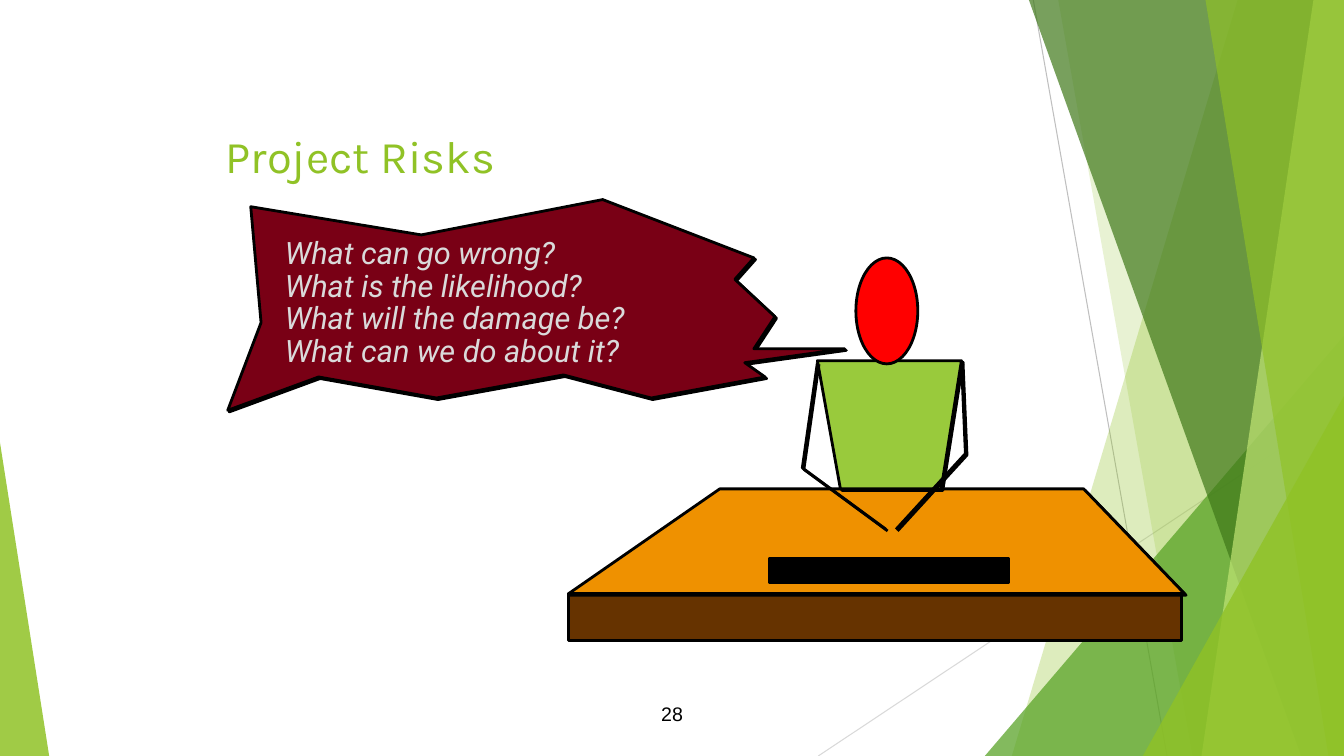
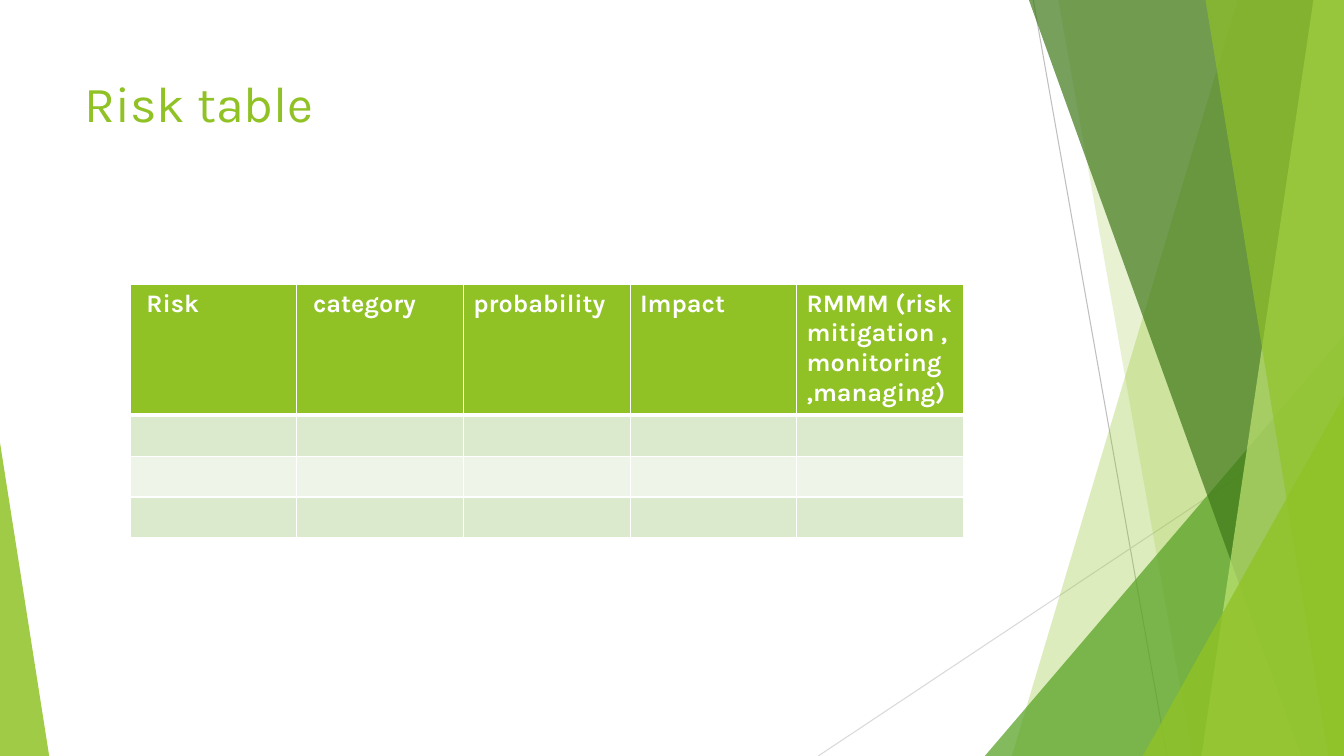
"""Build two project risk slides: a speaker at a desk and a risk table."""
from lxml.etree import SubElement
from pptx import Presentation
from pptx.dml.color import RGBColor
from pptx.enum.shapes import MSO_CONNECTOR, MSO_SHAPE
from pptx.enum.text import MSO_ANCHOR, PP_ALIGN
from pptx.oxml.ns import qn
from pptx.util import Cm, Pt

WIDTH, HEIGHT = 33.87, 19.05
GREEN, WHITE, BLACK = "90C226", "FFFFFF", "000000"
TITLE_FONT, SPEECH_FONT, NUMBER_FONT = "Karla", "Roboto", "Arial"
ECHO_OFFSET = 0.04

RAYS = [((26.04, 0), (29.41, HEIGHT), "BFBFBF"),
        ((WIDTH, 10.24), (20.62, HEIGHT), "D9D9D9")]
BACK_BANDS = [(31.19, 25.5, GREEN, 30), (26.67, 30.05, GREEN, 20)]
FRONT_BANDS = [(25.93, 32.79, "3F7819", 70), (33.1, 30.28, "C0E474", 70),
               (30.38, 33.48, GREEN, 65)]

QUESTIONS = ["What can go wrong?", "What is the likelihood?",
             "What will the damage be?", "What can we do about it?"]
SPEECH = [(21.29, 8.79), (18.77, 9.14), (19.28, 9.5), (16.41, 10.03),
          (14.2, 9.45), (11, 10.03), (8.03, 9.5), (5.74, 10.34),
          (6.58, 8.13), (6.32, 5.21), (10.62, 5.92), (15.19, 5.03),
          (19, 6.5), (18.52, 7.04), (19.53, 7.98), (19, 8.79)]
DESK_TOP = [(14.33, 14.96), (18.14, 12.32), (27.31, 12.32), (29.85, 14.96)]
TORSO = [(21.18, 12.32), (20.6, 9.09), (24.23, 9.09), (23.72, 12.32)]
ARMS = [[(20.6, 9.14), (20.22, 11.79), (22.33, 13.34)],
        [(24.23, 9.09), (24.33, 11.43), (22.58, 13.34)]]

HEADERS = ["Risk", "category", "probability", "Impact",
           "RMMM (risk mitigation ,monitoring ,managing)"]
INDENTED_HEADERS = HEADERS[:2]
ROW_FILLS = [GREEN, "DBE9CD", "EEF4E8", "DBE9CD"]


def color(value):
    """Turn a hex string into a colour."""
    return RGBColor.from_string(value)


def paint(shape, fill=None, line=None, opacity=100):
    """Set the fill, outline and opacity of a shape and drop its shadow."""
    shape.shadow.inherit = False
    if fill:
        shape.fill.solid()
        shape.fill.fore_color.rgb = color(fill)
        if opacity < 100:
            tint = shape.element.spPr.find(".//" + qn("a:srgbClr"))
            SubElement(tint, qn("a:alpha"), val=str(opacity * 1000))
    else:
        shape.fill.background()
    if line:
        shape.line.color.rgb = color(line)
        shape.line.width = Pt(2)
    else:
        shape.line.fill.background()


def add_preset(page, kind, bounds, **style):
    """Add a painted preset shape."""
    shape = page.shapes.add_shape(kind, *map(Cm, bounds))
    paint(shape, **style)
    return shape


def add_outline(page, points, closed=True, **style):
    """Add a painted freeform through the points."""
    start, *others = [(Cm(x), Cm(y)) for x, y in points]
    builder = page.shapes.build_freeform(*start)
    builder.add_line_segments(others, close=closed)
    paint(builder.convert_to_shape(), **style)


def add_inked(page, points, fill=None):
    """Add a black outline with a slightly shifted echo behind it."""
    echo = [(x + ECHO_OFFSET, y + ECHO_OFFSET) for x, y in points]
    closed = fill is not None
    add_outline(page, echo, closed, line=BLACK)
    add_outline(page, points, closed, fill=fill, line=BLACK)


def add_ray(page, start, end, ink):
    """Add a thin straight background line."""
    ray = page.shapes.add_connector(MSO_CONNECTOR.STRAIGHT,
                                    *map(Cm, start + end))
    ray.line.color.rgb = color(ink)
    ray.line.width = Pt(0.75)
    SubElement(ray.element.spPr, qn("a:effectLst"))


def add_bands(page, bands):
    """Add translucent bands that reach the right edge of the page."""
    for top, bottom, fill, opacity in bands:
        points = [(top, 0), (WIDTH, 0), (WIDTH, HEIGHT), (bottom, HEIGHT)]
        add_outline(page, points, fill=fill, opacity=opacity)


def add_corner(page, left, top, width, tip, fill, opacity):
    """Add a translucent triangle that stands on the bottom edge."""
    corner = add_preset(page, MSO_SHAPE.ISOSCELES_TRIANGLE,
                        (left, top, width, HEIGHT - top),
                        fill=fill, opacity=opacity)
    corner.adjustments[0] = tip


def add_backdrop(page):
    """Draw the decoration that all pages share."""
    for start, end, ink in RAYS:
        add_ray(page, start, end, ink)
    add_bands(page, BACK_BANDS)
    add_corner(page, 24.82, 8.46, WIDTH - 24.82, 1, "54A021", 72)
    add_bands(page, FRONT_BANDS)
    add_corner(page, 28.8, 9.98, WIDTH - 28.8, 1, GREEN, 80)
    add_corner(page, 0, 11.15, 1.24, 0, GREEN, 85)


def style_font(font, name, size, ink):
    """Set the typeface, size and colour of a font."""
    font.name = name
    font.size = Pt(size)
    font.color.rgb = color(ink)


def add_text(page, bounds, lines, name, size, ink):
    """Add a wrapping text box with one paragraph for each line."""
    box = page.shapes.add_textbox(*map(Cm, bounds))
    frame = box.text_frame
    frame.word_wrap = True
    frame.text = "\n".join(lines)
    for para in frame.paragraphs:
        for span in para.runs:
            style_font(span.font, name, size, ink)
    return frame


def add_page(deck, title, bounds, size):
    """Add a page with the shared backdrop and a title."""
    page = deck.slides.add_slide(deck.slide_layouts[6])
    add_backdrop(page)
    add_text(page, bounds, [title], TITLE_FONT, size, GREEN)
    return page


def add_speech(page):
    """Draw the speech balloon and its questions."""
    add_inked(page, SPEECH, "790015")
    frame = add_text(page, (6.93, 5.89, 11, 3.6), QUESTIONS,
                     SPEECH_FONT, 22, "DADADA")
    for para in frame.paragraphs:
        para.line_spacing = Pt(23.2)
        for span in para.runs:
            span.font.italic = True


def add_speaker(page):
    """Draw the speaker behind a desk with a keyboard."""
    add_preset(page, MSO_SHAPE.RECTANGLE, (14.33, 14.96, 15.45, 1.19),
               fill="663300", line=BLACK)
    add_inked(page, DESK_TOP, "EF9100")
    add_inked(page, TORSO, "99CA3C")
    for arm in ARMS:
        add_inked(page, arm)
    add_preset(page, MSO_SHAPE.OVAL, (21.57, 6.5, 1.56, 2.67),
               fill="FF0000", line=BLACK)
    add_preset(page, MSO_SHAPE.RECTANGLE, (19.38, 14.07, 6.05, 0.61),
               fill=BLACK, line=BLACK)


def add_number(page, number):
    """Add the page number at the bottom centre."""
    frame = add_text(page, (11.58, 17.35, 10.72, 1.27), [number],
                     NUMBER_FONT, 14, BLACK)
    frame.vertical_anchor = MSO_ANCHOR.MIDDLE
    frame.paragraphs[0].alignment = PP_ALIGN.CENTER


def style_cell(cell, fill, bottom):
    """Give a cell white borders and a solid fill."""
    properties = cell._tc.get_or_add_tcPr()
    for side, points in (("L", 1), ("R", 1), ("T", 1), ("B", bottom)):
        border = SubElement(properties, qn("a:ln" + side), w=str(Pt(points)))
        solid = SubElement(border, qn("a:solidFill"))
        SubElement(solid, qn("a:srgbClr"), val=WHITE)
    cell.fill.solid()
    cell.fill.fore_color.rgb = color(fill)


def add_risk_table(page):
    """Add the risk table with a header row and empty rows."""
    header_height, row_height, column_width = 3.2, 1.03, 4.2
    row_count, column_count = len(ROW_FILLS), len(HEADERS)
    table = page.shapes.add_table(
        row_count, column_count, Cm(3.28), Cm(7.16),
        Cm(column_width * column_count),
        Cm(header_height + row_height * (row_count - 1))).table
    for column in table.columns:
        column.width = Cm(column_width)
    for index, (row, fill) in enumerate(zip(table.rows, ROW_FILLS)):
        row.height = Cm(row_height if index else header_height)
        for cell in row.cells:
            style_cell(cell, fill, 1 if index else 3)
    for cell, header in zip(table.rows[0].cells, HEADERS):
        cell.text_frame.text = header
        cell.margin_left = Cm(0.41 if header in INDENTED_HEADERS else 0.25)
        font = cell.text_frame.paragraphs[0].runs[0].font
        style_font(font, TITLE_FONT, 18, WHITE)
        font.bold = True


def main():
    """Build and save the deck."""
    deck = Presentation()
    deck.slide_width, deck.slide_height = Cm(WIDTH), Cm(HEIGHT)

    risks = add_page(deck, "Project Risks", (5.44, 3.1, 24.31, 1.35), 32.4)
    add_speech(risks)
    add_speaker(risks)
    add_number(risks, "28")

    overview = add_page(deck, "Risk table", (1.88, 1.7, 23.88, 3.66), 36)
    add_risk_table(overview)

    deck.save("out.pptx")


if __name__ == "__main__":
    main()
